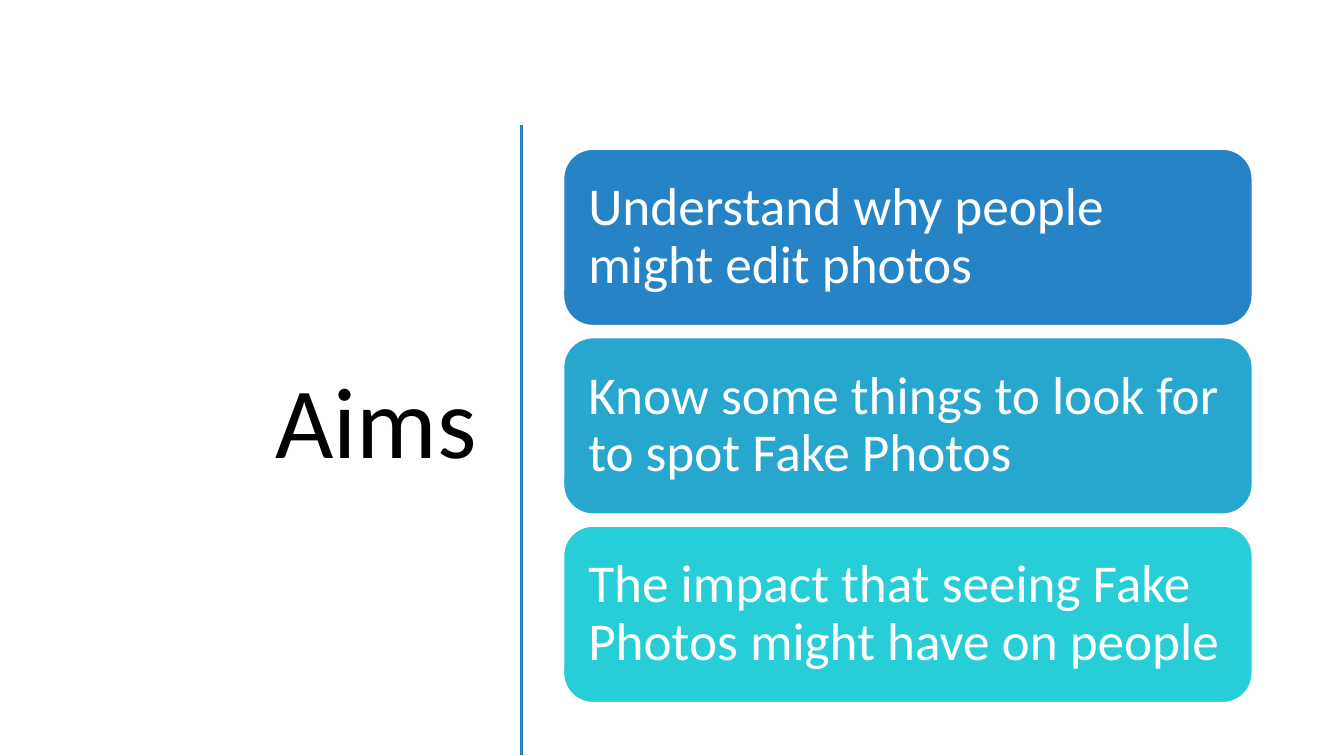
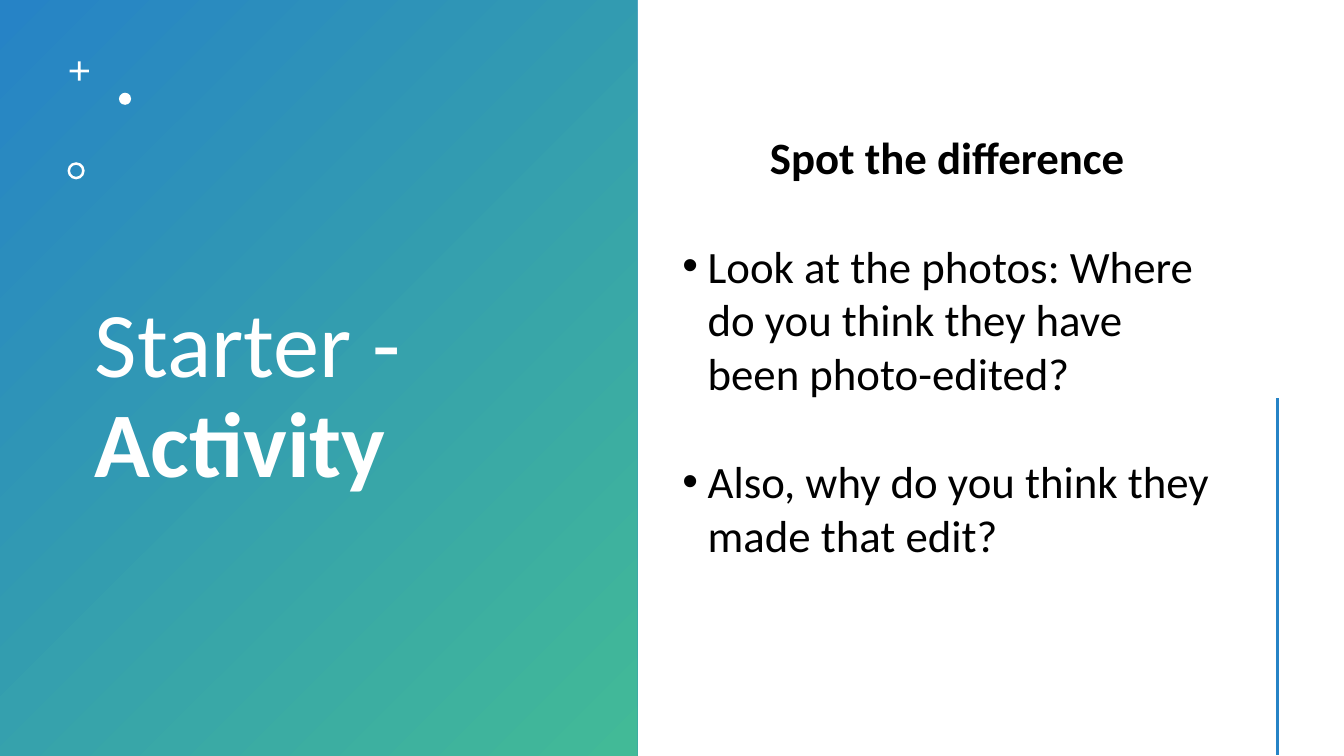
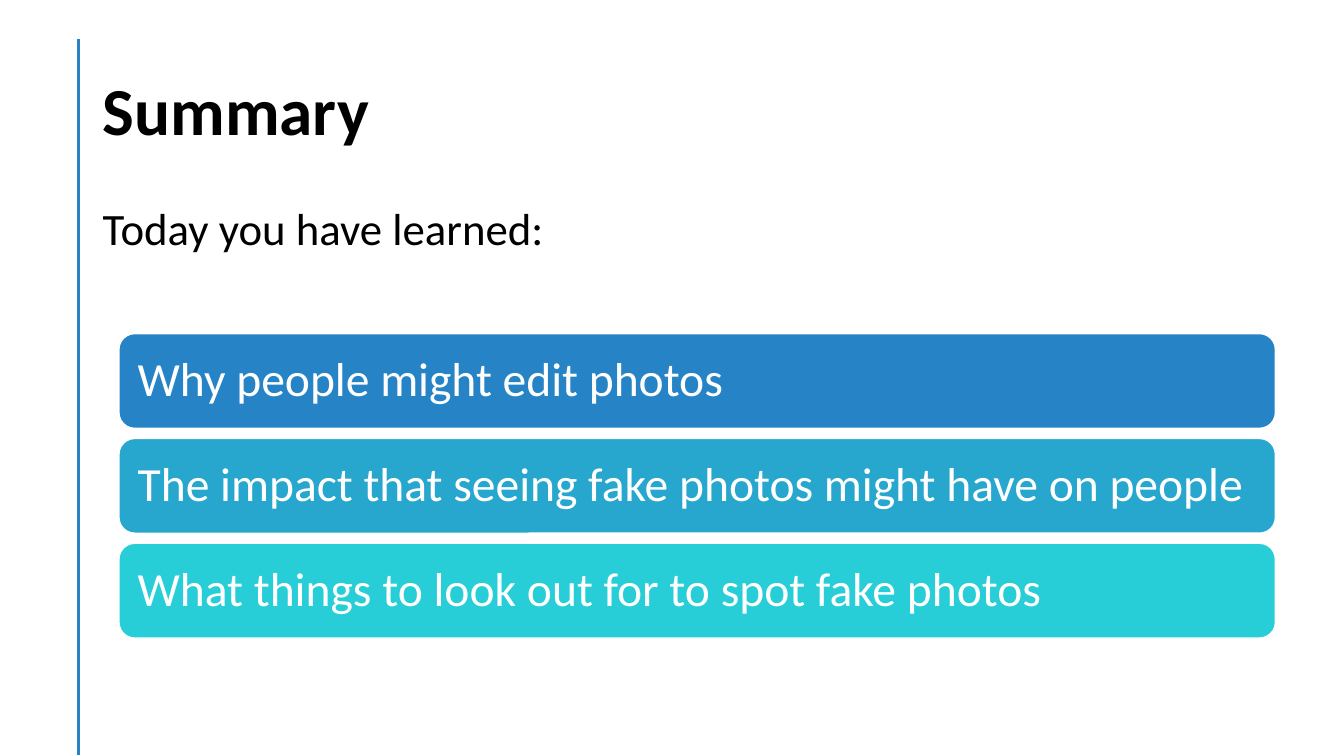
import pptx
import pptx.dml.color
import pptx.enum.shapes
import pptx.enum.text
import pptx.oxml
import pptx.oxml.ns
import pptx.util

Inches = pptx.util.Inches
Pt = pptx.util.Pt
SHAPES = pptx.enum.shapes.MSO_SHAPE
ALIGN = pptx.enum.text.PP_ALIGN
ANCHOR = pptx.enum.text.MSO_ANCHOR
FONT = "Calibri"
BLACK, WHITE = "000000", "FFFFFF"
BLUE, GREEN = "2683C6", "42BA97"
CARD_FILLS = [BLUE, "27A7CE", "27CED7"]


def color(value):
    return pptx.dml.color.RGBColor.from_string(value)


class Deck:
    def __init__(self):
        self.deck = pptx.Presentation()
        self.deck.slide_width = Inches(13.33)
        self.deck.slide_height = Inches(7.5)

    def new_page(self):
        self.page = self.deck.slides.add_slide(self.deck.slide_layouts[5])

    def prepare(self, frame, anchor, inset=None):
        frame.word_wrap = True
        frame.auto_size = pptx.enum.text.MSO_AUTO_SIZE.NONE
        frame.vertical_anchor = anchor
        if inset is not None:
            frame.margin_left = frame.margin_right = Inches(inset)
            frame.margin_top = frame.margin_bottom = Inches(inset)

    def add_text(self, para, text, size, fill, bold=False):
        span = para.add_run()
        span.text = text
        span.font.name = FONT
        span.font.size = Pt(size)
        span.font.bold = bold
        span.font.color.rgb = color(fill)

    def title(self, place, spans, size, fill=BLACK, align=ALIGN.LEFT):
        box = self.page.shapes.title
        box.element.getparent().append(box.element)
        box.left, box.top, box.width, box.height = map(Inches, place)
        self.prepare(box.text_frame, ANCHOR.MIDDLE)
        para = box.text_frame.paragraphs[0]
        para.alignment = align
        para.line_spacing = 0.9
        for text, bold in spans:
            self.add_text(para, text, size, fill, bold)

    def text_box(self, place, anchor):
        box = self.page.shapes.add_textbox(*map(Inches, place))
        self.prepare(box.text_frame, anchor)
        return box.text_frame

    def bullet(self, frame, text, size, space_before):
        para = frame.add_paragraph()
        properties = para._p.get_or_add_pPr()
        properties.set("marL", str(Inches(0.25)))
        properties.set("indent", str(Inches(-0.25)))
        for tag, key, value in (("a:buFont", "typeface", "Arial"), ("a:buChar", "char", "•")):
            mark = pptx.oxml.parse_xml(f"<{tag} {pptx.oxml.ns.nsdecls('a')}/>")
            mark.set(key, value)
            properties.append(mark)
        para.space_before = Pt(space_before)
        self.add_text(para, text, size, BLACK)

    def shape(self, kind, place, fill, adjust=None):
        shape = self.page.shapes.add_shape(kind, *map(Inches, place))
        shape.shadow.inherit = False
        shape.fill.solid()
        shape.fill.fore_color.rgb = color(fill)
        shape.line.fill.background()
        if adjust is not None:
            shape.adjustments[0] = adjust
        return shape

    def gradient_panel(self, place, start, end):
        fill = self.shape(SHAPES.RECTANGLE, place, start).fill
        fill.gradient()
        fill.gradient_angle = 315
        for stop, value in zip(fill.gradient_stops, (start, end)):
            stop.color.rgb = color(value)

    def cards(self, left, top, width, height, pitch, texts, size, inset):
        for index, (text, fill) in enumerate(zip(texts, CARD_FILLS)):
            place = (left, top + index * pitch, width, height)
            card = self.shape(SHAPES.ROUNDED_RECTANGLE, place, fill)
            card.line.color.rgb = color(WHITE)
            card.line.width = Pt(1)
            self.prepare(card.text_frame, ANCHOR.MIDDLE, inset)
            para = card.text_frame.paragraphs[0]
            para.alignment = ALIGN.LEFT
            para.line_spacing = 0.9
            self.add_text(para, text, size, WHITE)

    def rule(self, x, top):
        line = self.page.shapes.add_connector(
            pptx.enum.shapes.MSO_CONNECTOR.STRAIGHT,
            Inches(x), Inches(top), Inches(x), Inches(7.49))
        line.line.color.rgb = color(BLUE)
        line.line.width = Pt(2)
        effects = pptx.oxml.parse_xml(f"<a:effectLst {pptx.oxml.ns.nsdecls('a')}/>")
        line.element.spPr.append(effects)


def aims(deck):
    deck.new_page()
    deck.title((0.52, 1.17, 4.31, 6.11), [("Aims", False)], 72, align=ALIGN.RIGHT)
    deck.rule(5.17, 1.24)
    deck.cards(5.59, 1.48, 6.83, 1.75, 1.87, [
        "Understand why people might edit photos",
        "Know some things to look for to spot Fake Photos",
        "The impact that seeing Fake Photos might have on people",
    ], 38, 0.16)


def starter(deck):
    deck.new_page()
    deck.gradient_panel((0, 0, 6.32, 7.5), BLUE, GREEN)
    deck.title((0.84, 0.68, 4.84, 6.53), [("Starter - ", False), ("Activity", True)], 66, WHITE)
    deck.shape(SHAPES.CROSS, (0.69, 0.61, 0.19, 0.19), WHITE, 0.43)
    deck.shape(SHAPES.OVAL, (1.18, 0.92, 0.12, 0.12), WHITE)
    deck.shape(SHAPES.DONUT, (0.67, 1.61, 0.17, 0.17), WHITE, 0.15)
    frame = deck.text_box((6.67, 0.42, 5.45, 6.02), ANCHOR.MIDDLE)
    heading = frame.paragraphs[0]
    heading.alignment = ALIGN.CENTER
    deck.add_text(heading, "Spot the difference", 32, BLACK, True)
    for text in ("Look at the photos: Where do you think they have been photo-edited?",
                 "Also, why do you think they made that edit?"):
        deck.bullet(frame, text, 32, 39)
    deck.rule(12.67, 3.95)


def summary(deck):
    deck.new_page()
    deck.rule(0.78, 0.39)
    deck.title((0.92, 0.4, 11.5, 1.45), [("Summary", True)], 48)
    frame = deck.text_box((0.92, 2, 11.5, 1), ANCHOR.TOP)
    para = frame.paragraphs[0]
    para.line_spacing = 0.9
    deck.add_text(para, "Today you have learned:", 32, BLACK)
    deck.cards(1.18, 3.31, 11.47, 0.94, 1.04, [
        "Why people might edit photos",
        "The impact that seeing fake photos might have on people",
        "What things to look out for to spot fake photos",
    ], 34, 0.14)


def main():
    deck = Deck()
    aims(deck)
    starter(deck)
    summary(deck)
    deck.deck.save("out.pptx")


if __name__ == "__main__":
    main()
